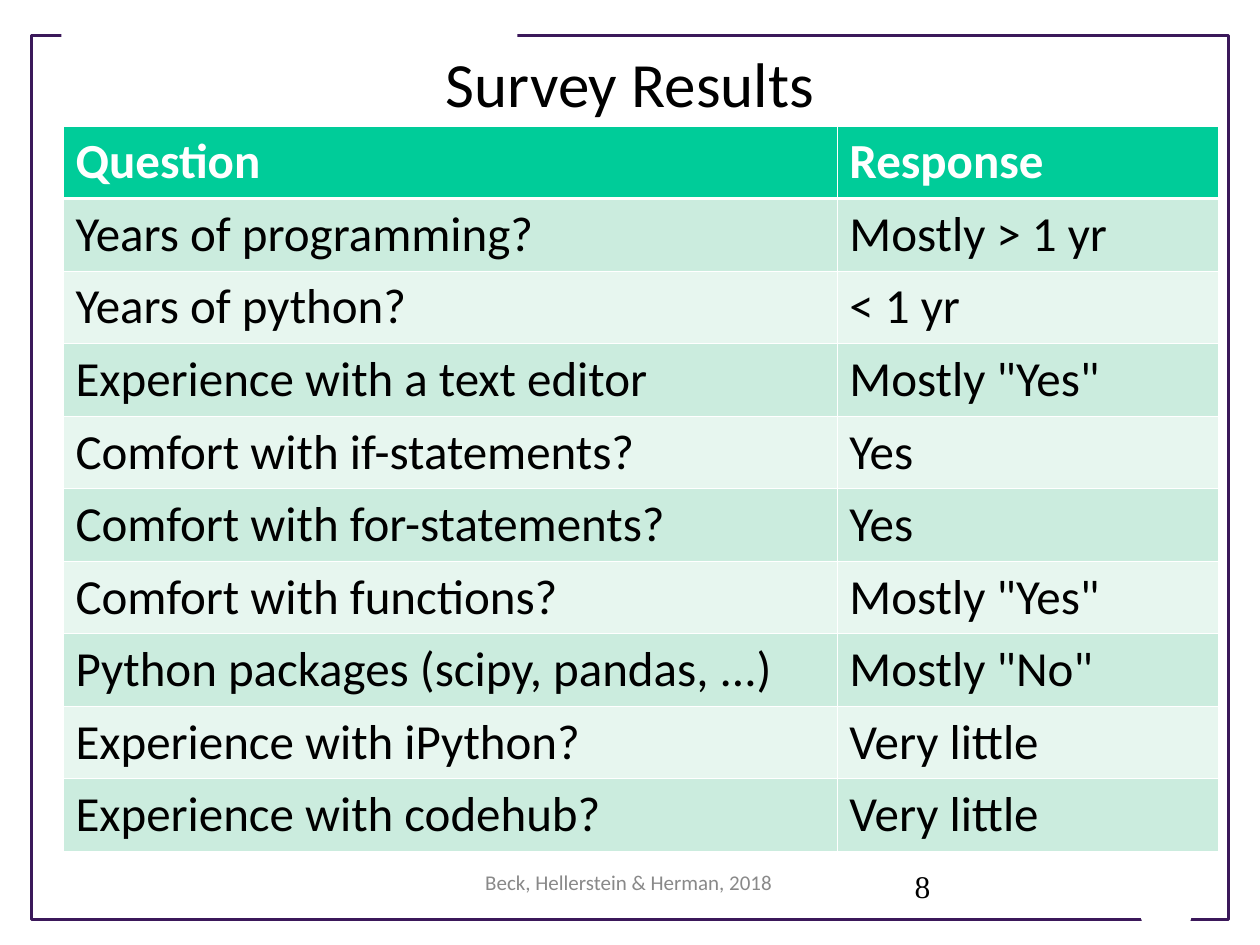
from lxml.etree import SubElement as Sub
from pptx import Presentation
from pptx.dml.color import RGBColor as RGB
from pptx.enum.shapes import MSO_SHAPE as Shape
from pptx.enum.text import MSO_ANCHOR as Anchor, PP_ALIGN as Align
from pptx.oxml.ns import qn
from pptx.util import Cm, Pt

TITLE = "Survey Results"
ROWS = [
    ("Question", "Response"),
    ("Years of programming?", "Mostly > 1 yr"),
    ("Years of python?", "< 1 yr"),
    ("Experience with a text editor", 'Mostly "Yes"'),
    ("Comfort with if-statements?", "Yes"),
    ("Comfort with for-statements?", "Yes"),
    ("Comfort with functions?", 'Mostly "Yes"'),
    ("Python packages (scipy, pandas, ...)", 'Mostly "No"'),
    ("Experience with iPython?", "Very little"),
    ("Experience with codehub?", "Very little"),
]
NOTES = [
    ("Beck, Hellerstein & Herman, 2018", (8.66, 17.4, 8.03, 1.02),
     Align.CENTER, "Calibri", 12, "grey"),
    ("8", (18.19, 17.35, 3.84, 1.02),
     Align.LEFT, "Times New Roman", 18, "black"),
]
FRAME = (0.64, 0.71, 24.13, 17.83)
PATCH = (1.24, 0.43, 9.19, 0.61)
NOTCH = [(22.78, 17.73), (23.04, 18.64), (23.98, 18.64), (24.21, 17.73)]
WIDTHS = (15.6, 7.7)
HIGH = 1.44
COLORS = {
    "frame": "3B185A", "white": "FFFFFF", "black": "000000",
    "grey": "898989", "head": "00CC99", "odd": "CBECDE", "even": "E7F6EF",
}


def color(name):
    """Return the named colour."""
    return RGB.from_string(COLORS[name])


def place(box):
    """Turn a box in centimetres into lengths."""
    return [Cm(n) for n in box]


def write(frame, text, font, size, tint, align=Align.LEFT, bold=False):
    """Fill a text frame with one styled paragraph."""
    frame.text = text
    para = frame.paragraphs[0]
    para.alignment = align
    face = para.runs[0].font
    face.name, face.size, face.bold = font, Pt(size), bold
    face.color.rgb = color(tint)


def blank(shape):
    """Make a shape plain white without a line."""
    shape.shadow.inherit = False
    shape.fill.solid()
    shape.fill.fore_color.rgb = color("white")
    shape.line.fill.background()


def edge(cell, row):
    """Draw white cell borders, thicker below the header."""
    thick = {"lnB": 0, "lnT": 1}
    props = cell._tc.get_or_add_tcPr()
    for side in ("lnL", "lnR", "lnT", "lnB"):
        width = Pt(1.47 if thick.get(side) == row else 0.45)
        line = Sub(props, qn("a:" + side), w=str(width))
        fill = Sub(line, qn("a:solidFill"))
        Sub(fill, qn("a:srgbClr"), val=COLORS["white"])


def draw_frame(shapes):
    """Draw the outline and the two gaps in it."""
    frame = shapes.add_shape(Shape.RECTANGLE, *place(FRAME))
    frame.shadow.inherit = False
    frame.fill.background()
    frame.line.color.rgb = color("frame")
    frame.line.width = Pt(1.75)
    blank(shapes.add_shape(Shape.RECTANGLE, *place(PATCH)))
    start, *rest = [place(point) for point in NOTCH]
    path = shapes.build_freeform(*start)
    path.add_line_segments(rest, close=True)
    blank(path.convert_to_shape())


def draw_title(title):
    """Place the title in front of the frame."""
    title.element.getparent().append(title.element)
    title.left, title.top, title.width, title.height = place(
        (1.27, 0.76, 22.86, 3.18))
    title.text_frame.vertical_anchor = Anchor.TOP
    write(title.text_frame, TITLE, "Calibri", 36, "black", Align.CENTER)


def draw_table(shapes):
    """Build the survey table."""
    box = (1.27, 2.54, sum(WIDTHS), HIGH * len(ROWS))
    table = shapes.add_table(len(ROWS), len(WIDTHS), *place(box)).table
    for col, width in zip(table.columns, WIDTHS):
        col.width = Cm(width)
    for i, texts in enumerate(ROWS):
        table.rows[i].height = Cm(HIGH)
        band = "head" if i == 0 else "odd" if i % 2 else "even"
        tint = "white" if i == 0 else "black"
        for j, text in enumerate(texts):
            cell = table.cell(i, j)
            edge(cell, i)
            cell.fill.solid()
            cell.fill.fore_color.rgb = color(band)
            write(cell.text_frame, text, "Calibri", 28, tint, bold=i == 0)


def main():
    """Build and save the slide."""
    deck = Presentation()
    deck.slide_width, deck.slide_height = Cm(25.4), Cm(19.05)
    slide = deck.slides.add_slide(deck.slide_layouts[5])
    shapes = slide.shapes
    draw_frame(shapes)
    draw_title(shapes.title)
    draw_table(shapes)
    for text, box, align, font, size, tint in NOTES:
        frame = shapes.add_textbox(*place(box)).text_frame
        frame.word_wrap = True
        write(frame, text, font, size, tint, align)
    deck.save("out.pptx")


if __name__ == "__main__":
    main()
